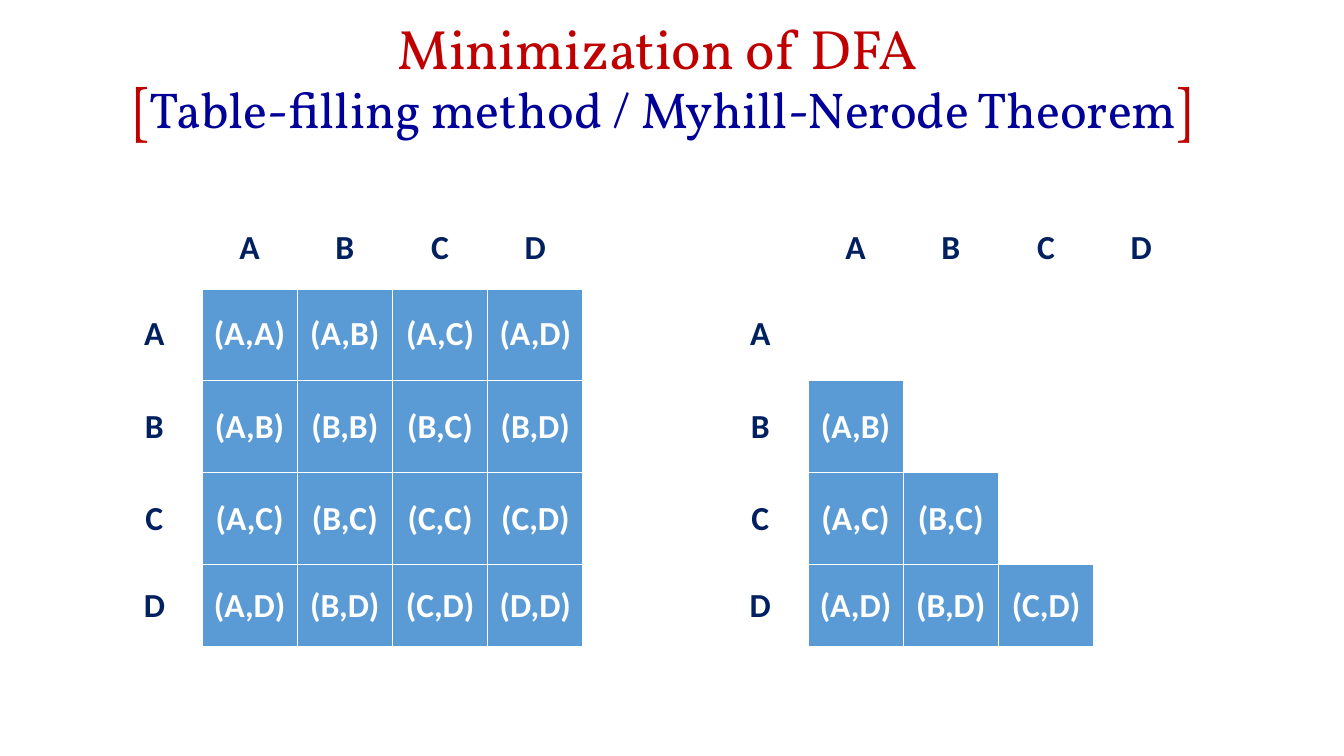
from lxml import etree
from pptx import Presentation
from pptx.dml.color import RGBColor
from pptx.enum.text import MSO_ANCHOR, MSO_AUTO_SIZE, PP_ALIGN
from pptx.oxml.ns import qn
from pptx.util import Cm, Pt

MIDDLE = MSO_ANCHOR.MIDDLE
CENTER = PP_ALIGN.CENTER
NO_AUTOFIT = MSO_AUTO_SIZE.NONE
TITLE_ONLY = 5

# Content
RED, BLUE, NAVY = "C00000", "000099", "002060"
WHITE, CELL_BLUE = "FFFFFF", "5B9BD5"
TITLE_LINES = [
    [("Minimization of DFA ", 39.6, RED)],
    [
        ("[", 39.6, RED),
        ("Table-filling method / Myhill-Nerode Theorem", 36, BLUE),
        ("]", 39.6, RED),
    ],
]
STATES = ["A", "B", "C", "D"]

# Layout in centimetres
TABLE_TOP = 5.21
FULL_TABLE_LEFT, LOWER_TABLE_LEFT = 2.69, 17.96
COLUMN_WIDTH = 2.4
ROW_HEIGHTS = [2.06, 2.32, 2.32, 2.32, 2.06]


def rgb(color):
    return RGBColor.from_string(color)


def add_run(paragraph, text, size, color, font, bold=False):
    run = paragraph.add_run()
    run.text = text
    run.font.size = Pt(size)
    run.font.name = font
    run.font.bold = bold
    run.font.color.rgb = rgb(color)


def set_borders(cell, bottom_width):
    properties = cell._tc.get_or_add_tcPr()
    widths = {"lnL": 1, "lnR": 1, "lnT": 1, "lnB": bottom_width}
    for side, width in widths.items():
        line = etree.SubElement(properties, qn(f"a:{side}"), w=str(Pt(width)))
        fill = etree.SubElement(line, qn("a:solidFill"))
        etree.SubElement(fill, qn("a:srgbClr"), val=WHITE)


def cell_text(row, column, lower_only):
    if row == 0 and column == 0:
        return ""
    if row == 0 or column == 0:
        return STATES[row + column - 1]
    if lower_only and column >= row:
        return ""
    first, second = sorted((row, column))
    return f"({STATES[first - 1]},{STATES[second - 1]})"


def add_pair_table(slide, left, lower_only):
    count = len(STATES) + 1
    frame = slide.shapes.add_table(
        count, count, Cm(left), Cm(TABLE_TOP),
        Cm(COLUMN_WIDTH * count), Cm(sum(ROW_HEIGHTS)),
    )
    table = frame.table
    for column in table.columns:
        column.width = Cm(COLUMN_WIDTH)
    for row, height in enumerate(ROW_HEIGHTS):
        table.rows[row].height = Cm(height)
        for column in range(count):
            cell = table.cell(row, column)
            text = cell_text(row, column, lower_only)
            is_pair = row > 0 and column > 0 and text != ""
            # Borders come before the fill in the cell properties
            set_borders(cell, 3 if row == 0 else 1)
            cell.fill.solid()
            cell.fill.fore_color.rgb = rgb(CELL_BLUE if is_pair else WHITE)
            cell.vertical_anchor = MIDDLE
            if text:
                paragraph = cell.text_frame.paragraphs[0]
                paragraph.alignment = CENTER
                color = WHITE if is_pair else NAVY
                add_run(paragraph, text, 24, color, "Calibri", bold=True)


def add_title(slide):
    title = slide.shapes.title
    title.left, title.top = Cm(2.11), Cm(0.2)
    title.width, title.height = Cm(29.21), Cm(3.68)
    text_frame = title.text_frame
    text_frame.word_wrap = True
    text_frame.auto_size = NO_AUTOFIT
    text_frame.vertical_anchor = MIDDLE
    paragraph = text_frame.paragraphs[0]
    paragraph.alignment = CENTER
    paragraph.line_spacing = 0.9
    for index, line in enumerate(TITLE_LINES):
        if index:
            paragraph.add_line_break()
        for text, size, color in line:
            add_run(paragraph, text, size, color, "Vollkorn")


def main():
    presentation = Presentation()
    presentation.slide_width, presentation.slide_height = Cm(33.87), Cm(19.05)
    slide = presentation.slides.add_slide(presentation.slide_layouts[TITLE_ONLY])
    add_title(slide)
    # All pairs on the left, distinct pairs below the diagonal on the right
    add_pair_table(slide, FULL_TABLE_LEFT, lower_only=False)
    add_pair_table(slide, LOWER_TABLE_LEFT, lower_only=True)
    presentation.save("out.pptx")


if __name__ == "__main__":
    main()
